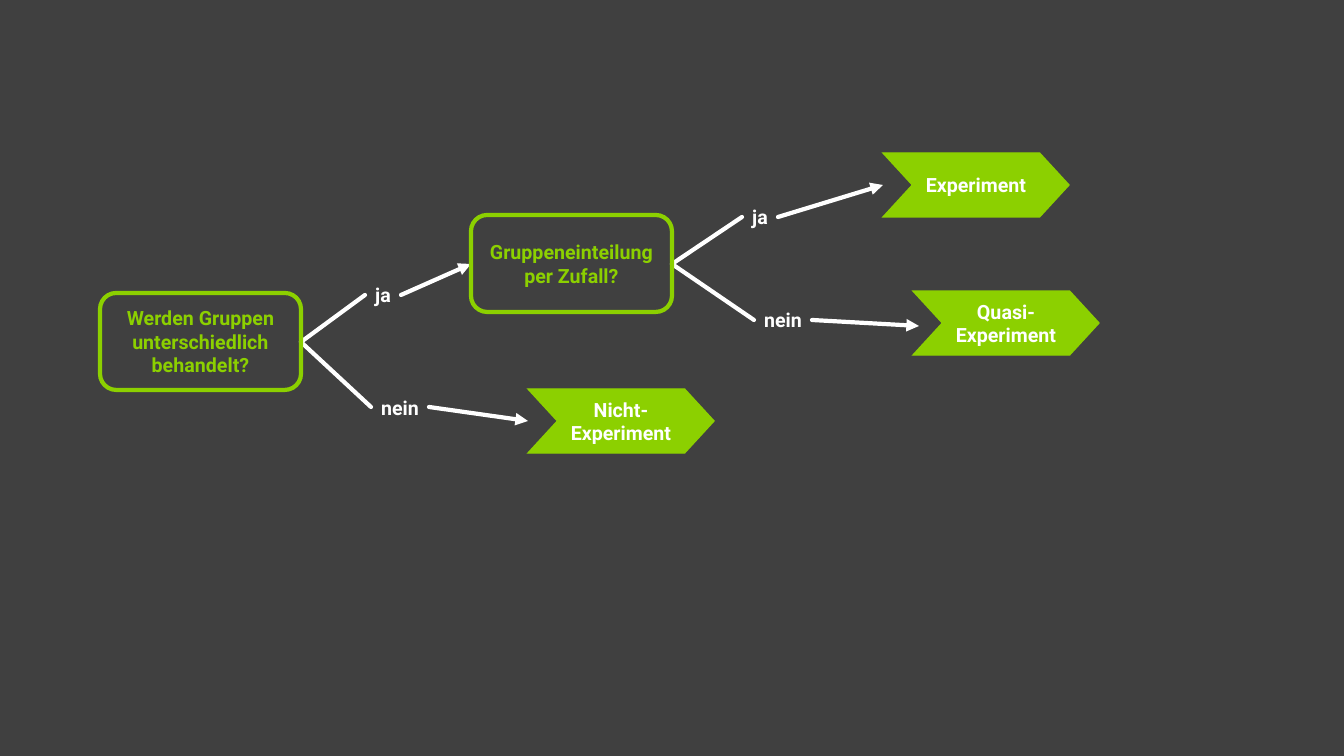
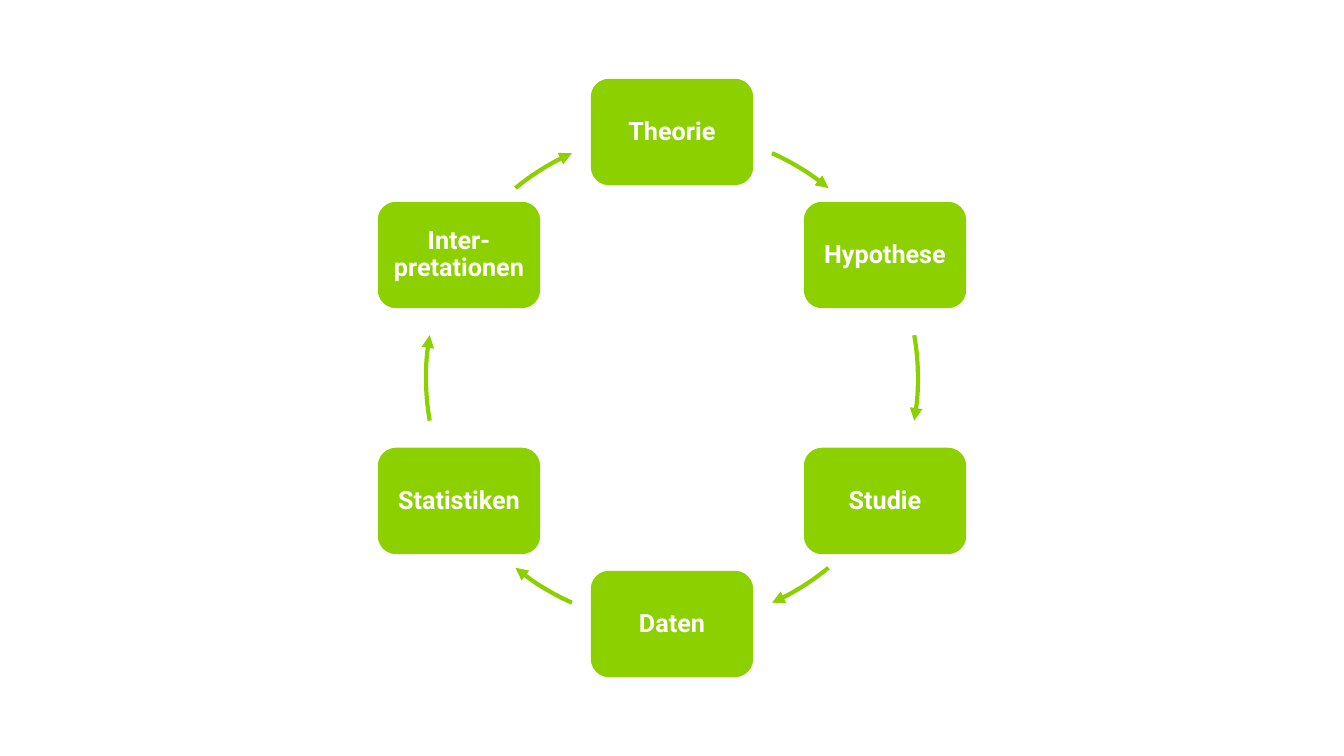
from math import cos, radians, sin
from lxml.etree import SubElement
from pptx import Presentation
from pptx.dml.color import RGBColor
from pptx.enum.shapes import MSO_CONNECTOR as LINK, MSO_SHAPE as KIND
from pptx.enum.text import MSO_ANCHOR as ANCHOR, MSO_AUTO_SIZE as FIT, PP_ALIGN as ALIGN
from pptx.oxml.ns import qn
from pptx.util import Pt

PX = 914400 / 100.8
GREEN = RGBColor(0x8C, 0xD0, 0x00)
WHITE = RGBColor(0xFF, 0xFF, 0xFF)
DARK = RGBColor(0x40, 0x40, 0x40)
FONT = "Roboto"


def write(shape, words, size, color):
    frame = shape.text_frame
    frame.word_wrap = True
    frame.vertical_anchor = ANCHOR.MIDDLE
    para = frame.paragraphs[0]
    para.alignment = ALIGN.CENTER
    run = para.add_run()
    run.text = words
    font = run.font
    font.name, font.size, font.bold = FONT, Pt(size), True
    font.color.rgb = color
    return frame


def stroke(shape, color, width, arrow=False):
    shape.line.color.rgb = color
    shape.line.width = Pt(width)
    line = shape._element.spPr.find(qn("a:ln"))
    SubElement(line, qn("a:miter"), lim="800000")
    if arrow:
        SubElement(line, qn("a:tailEnd"), type="triangle")
    return line


deck = Presentation()
deck.slide_width, deck.slide_height = round(1344 * PX), round(756 * PX)
blank = deck.slide_layouts[6]

tree = deck.slides.add_slide(blank)
cycle = deck.slides.add_slide(blank)
for slide, color in ((tree, DARK), (cycle, WHITE)):
    slide.background.fill.solid()
    slide.background.fill.fore_color.rgb = color

labels = [
    ("ja", 365, 278, 36),
    ("nein", 371, 391, 58),
    ("ja", 742, 200, 36),
    ("nein", 754, 303, 58),
]
for words, x, y, w in labels:
    box = tree.shapes.add_textbox(*[round(v * PX) for v in (x, y, w, 34)])
    frame = write(box, words, 14, WHITE)
    frame.word_wrap = False
    frame.auto_size = FIT.SHAPE_TO_FIT_TEXT

links = [
    (301, 342, 371, 407, False),
    (429, 407, 528, 421, True),
    (301, 342, 365, 295, False),
    (401, 295, 471, 264, True),
    (672, 264, 742, 217, False),
    (778, 217, 883, 185, True),
    (672, 264, 754, 320, False),
    (812, 320, 919, 326, True),
]
for *ends, arrow in links:
    link = tree.shapes.add_connector(LINK.STRAIGHT, *[round(v * PX) for v in ends])
    stroke(link, WHITE, 3, arrow).set("cap", "rnd")
    SubElement(link._element.spPr, qn("a:effectLst"))

results = [
    ("Quasi-Experiment", 913, 291),
    ("Nicht-Experiment", 528, 389),
    ("Experiment", 883, 153),
]
for words, x, y in results:
    result = tree.shapes.add_shape(KIND.CHEVRON, *[round(v * PX) for v in (x, y, 186, 64)])
    result.shadow.inherit = False
    result.adjustments[0] = 0.46
    result.fill.solid()
    result.fill.fore_color.rgb = GREEN
    stroke(result, GREEN, 1)
    write(result, words, 14, WHITE)

queries = [
    ("Gruppeneinteilung per Zufall?", 471, 215),
    ("Werden Gruppen unterschiedlich behandelt?", 100, 293),
]
for words, x, y in queries:
    query = tree.shapes.add_shape(KIND.ROUNDED_RECTANGLE, *[round(v * PX) for v in (x, y, 201, 97)])
    query.shadow.inherit = False
    query.fill.background()
    stroke(query, GREEN, 3)
    write(query, words, 14, GREEN)

MID_X, MID_Y, RADIUS = 672, 378, 246
STEP_W, STEP_H, INSET = 161, 105, 7
RING = round(RADIUS * PX)
steps = ["Theorie", "Hypothese", "Studie", "Daten", "Statistiken", "Inter-pretationen"]
arcs = [(24, 39.5), (80, 100), (140.5, 156), (204, 219.5), (260, 280), (320.5, 336)]
for i, (words, (start, end)) in enumerate(zip(steps, arcs)):
    angle = radians(360 / len(steps) * i)
    x = MID_X + RADIUS * sin(angle) - STEP_W / 2
    y = MID_Y - RADIUS * cos(angle) - STEP_H / 2
    step = cycle.shapes.add_shape(
        KIND.ROUNDED_RECTANGLE, *[round(v * PX) for v in (x, y, STEP_W, STEP_H)])
    step.shadow.inherit = False
    step.fill.solid()
    step.fill.fore_color.rgb = GREEN
    stroke(step, GREEN, 1)
    frame = write(step, words, 18, WHITE)
    frame.paragraphs[0].line_spacing = 0.9
    frame.margin_left = frame.margin_right = round(INSET * PX)
    frame.margin_top = frame.margin_bottom = round(INSET * PX)

    left, top = round(MID_X * PX) - RING, round(MID_Y * PX) - RING
    form = cycle.shapes.build_freeform(left, top)
    form.add_line_segments([(left + 2 * RING, top + 2 * RING)], close=False)
    arc = form.convert_to_shape()
    arc.shadow.inherit = False
    arc.fill.background()
    stroke(arc, GREEN, 3, True)
    track = next(arc._element.iter(qn("a:path")))
    for part in list(track):
        track.remove(part)
    turn = radians(start)
    SubElement(SubElement(track, qn("a:moveTo")), qn("a:pt"),
               x=str(round(RING * (1 + sin(turn)))), y=str(round(RING * (1 - cos(turn)))))
    SubElement(track, qn("a:arcTo"), wR=str(RING), hR=str(RING),
               stAng=str(round((start + 270) % 360 * 60000)),
               swAng=str(round((end - start) * 60000)))

deck.save("out.pptx")
